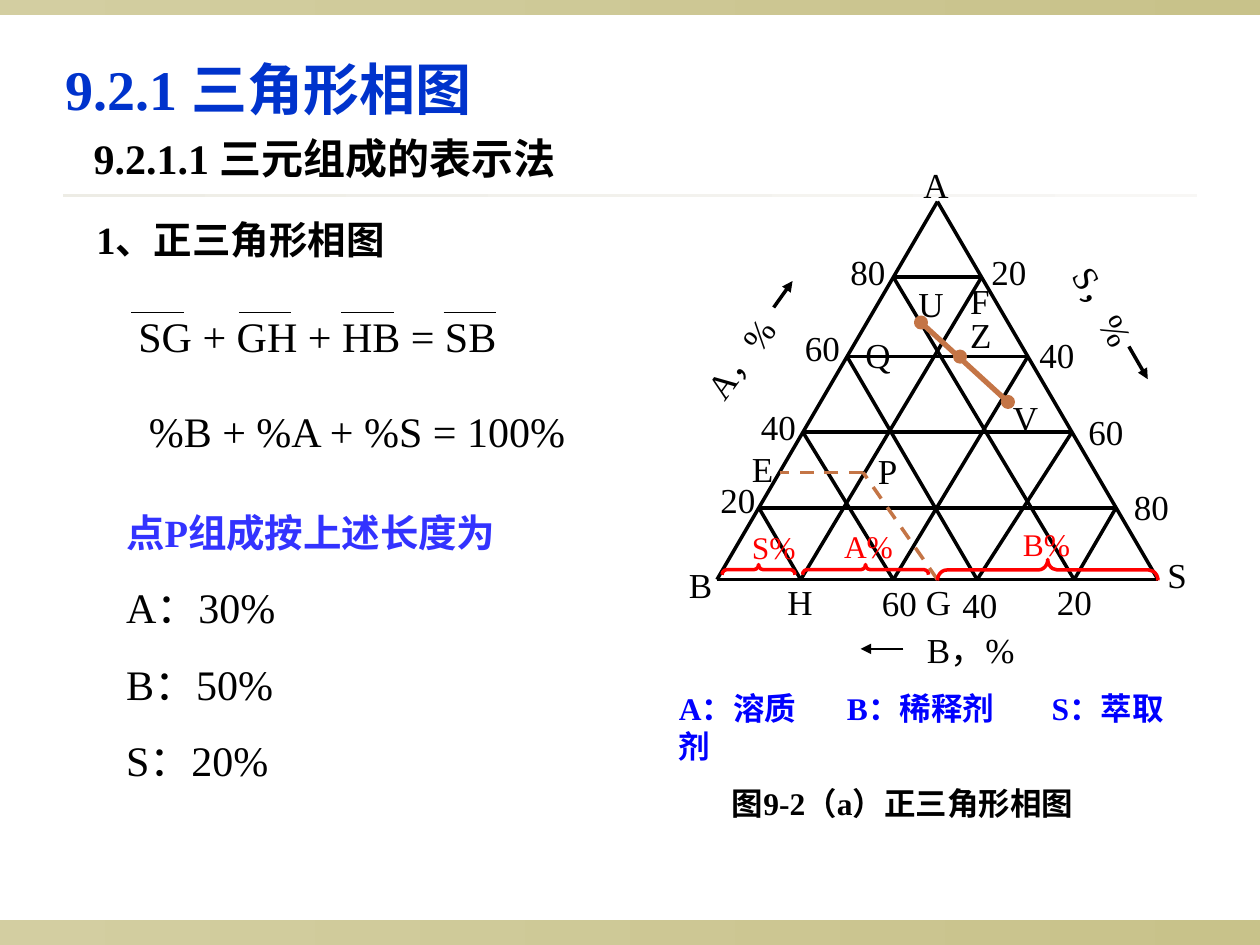
from dataclasses import dataclass

from pptx import Presentation
from pptx.dml.color import RGBColor as RGB
from pptx.enum.dml import MSO_LINE
from pptx.enum.shapes import MSO_CONNECTOR, MSO_SHAPE as SHAPE
from pptx.enum.text import MSO_ANCHOR, MSO_AUTO_SIZE, PP_ALIGN
from pptx.oxml.ns import qn
from pptx.util import Pt
from lxml.etree import SubElement


@dataclass(frozen=True)
class Theme:
    font: str = "Times New Roman"
    black: str = "000000"
    title: str = "0033CC"
    accent: str = "3333FF"
    key: str = "0000FF"
    red: str = "FF0000"
    copper: str = "C47546"
    band: tuple = ("D3CEA1", "C8C28A")
    rule: tuple = ("EDECE5", "F8F7F5")
    title_size: int = 32
    body_size: int = 24
    heading_size: int = 22
    label_size: int = 20
    small_size: int = 18


T = Theme()


def style(p, size, color=T.black, bold=False):
    p.alignment = PP_ALIGN.LEFT
    p.font.name, p.font.size, p.font.bold = T.font, Pt(size), bold
    p.font.color.rgb = RGB.from_string(color)


def add_text(shapes, box, text, size, color=T.black, bold=False, rotation=0, tabs=()):
    sp = shapes.add_textbox(*map(Pt, box))
    sp.rotation = rotation
    tf = sp.text_frame
    tf.word_wrap = True
    p = tf.paragraphs[0]
    p.text = text
    if tabs:
        tab_list = SubElement(p._p.get_or_add_pPr(), qn("a:tabLst"))
        for pos in tabs:
            SubElement(tab_list, qn("a:tab"), pos=str(Pt(pos)), algn="l")
    style(p, size, color, bold)
    return tf


def add_line(shapes, start, end, width=2, color=T.black, dash=False, arrow=False):
    c = shapes.add_connector(MSO_CONNECTOR.STRAIGHT, *map(Pt, (*start, *end)))
    c.line.width = Pt(width)
    c.line.color.rgb = RGB.from_string(color)
    if dash:
        c.line.dash_style = MSO_LINE.DASH
    if arrow:
        SubElement(c.line._get_or_add_ln(), qn("a:tailEnd"), type="triangle")
    SubElement(c._element.spPr, qn("a:effectLst"))


def add_gradient_bar(s, box, colors):
    sp = s.shapes.add_shape(SHAPE.RECTANGLE, *map(Pt, box))
    sp.shadow.inherit = False
    sp.line.fill.background()
    sp.fill.gradient()
    sp.fill.gradient_angle = 0
    for stop, color in zip(sp.fill.gradient_stops, colors):
        stop.color.rgb = RGB.from_string(color)


def add_brace(shapes, left, top, width, height):
    """Place an upward-pointing brace in the given box."""
    x, y = left + (width - height) / 2, top + (height - width) / 2
    sp = shapes.add_shape(SHAPE.LEFT_BRACE, *map(Pt, (x, y, height, width)))
    sp.rotation = 90
    sp.adjustments[0] = 0.45
    sp.shadow.inherit = False
    sp.fill.background()
    sp.line.width = Pt(2)
    sp.line.color.rgb = RGB.from_string(T.red)


def add_dot(shapes, center, size=6):
    x, y = center
    sp = shapes.add_shape(SHAPE.OVAL, Pt(x - size / 2), Pt(y - size / 2), Pt(size), Pt(size))
    sp.shadow.inherit = False
    sp.fill.solid()
    sp.fill.fore_color.rgb = sp.line.color.rgb = RGB.from_string(T.copper)
    sp.line.width = Pt(2)


def add_headings(s, left, top):
    title = s.shapes.title
    title.left, title.top, title.width, title.height = map(Pt, (left, top, 312, 55.5))
    tf = title.text_frame
    tf.text = "9.2.1 三角形相图"
    tf.vertical_anchor = MSO_ANCHOR.TOP
    tf.auto_size = MSO_AUTO_SIZE.NONE
    tf.paragraphs[0].line_spacing = 1.25
    style(tf.paragraphs[0], T.title_size, T.title, True)
    add_text(s.shapes, (left + 16.5, top + 54, 438, 36), "9.2.1.1 三元组成的表示法",
             T.body_size, bold=True)
    add_text(s.shapes, (left + 18, top + 102, 270, 34), "1、正三角形相图",
             T.heading_size, bold=True)


def add_formulas(s, left, top):
    shapes = s.shapes.add_group_shape().shapes
    add_text(shapes, (left, top, 240, 36), "SG + GH + HB = SB", T.body_size)
    for x in (3, 64.5, 123, 181.5):
        add_line(shapes, (left + x, top + 4.4), (left + x + 30, top + 4.4), 0.75)
    add_text(shapes, (left + 6, top + 54, 258, 36), "%B + %A + %S = 100%", T.body_size)


def add_composition(s, box):
    tf = add_text(s.shapes, box, "点P组成按上述长度为", T.heading_size, T.accent, True)
    for text in ("A：30%", "B：50%", "S：20%"):
        p = tf.add_paragraph()
        p.text = text
        p.space_before = Pt(15)
        style(p, T.body_size)


def add_grid(shapes, left, top, width, height):
    """Draw the triangle and its three families of inner lines."""
    def left_edge(h):
        return left + h * width / 2, top + (1 - h) * height

    def right_edge(h):
        return left + width - h * width / 2, top + (1 - h) * height

    def base(f):
        return left + f * width, top + height

    levels, feet = (0.19, 0.39, 0.59, 0.8), (0.19, 0.4, 0.59, 0.81)
    lines = [(base(0), base(1)), (base(0), left_edge(1)), (left_edge(1), base(1))]
    for h, foot, far_foot in zip(levels, feet, reversed(feet)):
        lines += [(left_edge(h), right_edge(h)), (base(foot), left_edge(h)),
                  (base(far_foot), right_edge(h))]
    for start, end in lines:
        add_line(shapes, start, end)


def add_diagram(s, left, top):
    shapes = s.shapes.add_group_shape().shapes

    def at(x, y):
        return left + x, top + y

    add_grid(shapes, *at(31.7, 25.2), 252, 216)

    u, z, v = at(148.3, 94.3), at(170.6, 113.8), at(198, 139.7)
    e, p, g = at(67.7, 180), at(115.2, 180), at(157.7, 241.2)
    add_line(shapes, u, v, 3, T.copper)
    for start, end in ((g, p), (p, e)):
        add_line(shapes, start, end, 2, T.copper, dash=True)

    labels = (
        ("A", 142.6, 0), ("B", 8.6, 228.2), ("S", 282, 222.5),
        ("20", 26.6, 180), ("40", 49.7, 138.2), ("60", 74.9, 92.9), ("80", 100.8, 49.7),
        ("20", 181.4, 49.7), ("40", 208.8, 97.2), ("60", 236.9, 141.1), ("80", 262.8, 183.6),
        ("20", 218.9, 238.3), ("40", 164.9, 239.8), ("60", 118.8, 239),
        ("H", 64.8, 238.3), ("G", 144, 238.3), ("E", 44.6, 162), ("P", 116.6, 163.4),
        ("U", 139.7, 67.7), ("Z", 169.2, 85.7), ("V", 193.7, 133.2),
        ("F", 169.2, 66.2), ("Q", 109.4, 97.2))
    for text, x, y in labels:
        add_text(shapes, (*at(x, y), 60, 31.5), text, T.label_size)

    axes = (
        ("B，%", 144.5, 265.7, 90, 0, (138.2, 280.8), (113.8, 280.8), 0.75),
        ("S，%", 208.1, 92.2, 114, 60.7, (267.1, 108), (277.9, 126.7), 2),
        ("A，%", 3.6, 82.1, 108, 306.3, (64.1, 85.7), (74.9, 70.6), 2))
    for text, x, y, width, rotation, tail, tip, weight in axes:
        add_text(shapes, (*at(x, y), width, 31.5), text, T.label_size, rotation=rotation)
        add_line(shapes, at(*tail), at(*tip), weight, arrow=True)

    segments = (
        ("S%", (44.6, 208.1), (34.6, 232.6), 41.7, 5.8),
        ("A%", (97.2, 207.4), (80.6, 232.6), 72, 5.8),
        ("B%", (199.4, 206.6), (157.7, 229.7), 126, 12))
    for text, label, brace, width, height in segments:
        add_brace(shapes, *at(*brace), width, height)
        add_text(shapes, (*at(*label), 48, 29), text, T.small_size, T.red)

    for point in (u, z, v):
        add_dot(shapes, point)

    add_text(shapes, (*at(2.9, 300.2), 300, 50.5), "A：溶质\tB：稀释剂\tS：萃取剂",
             T.small_size, T.key, True, tabs=(96, 213))
    add_text(shapes, (*at(33.1, 354.2), 264, 29), "图9-2（a）正三角形相图",
             T.small_size, bold=True)


def main():
    prs = Presentation()
    prs.slide_width, prs.slide_height = Pt(720), Pt(540)
    s = prs.slides.add_slide(prs.slide_layouts[5])
    add_gradient_bar(s, (0, 525.6, 720, 14.4), T.band)
    add_gradient_bar(s, (0, 0, 720, 8.6), T.band)
    add_gradient_bar(s, (36, 110.9, 648, 1.5), T.rule)
    add_headings(s, 30, 18)
    add_diagram(s, 378, 90)
    add_formulas(s, 72, 174)
    add_composition(s, (65, 287.3, 246, 165))
    prs.save("out.pptx")


if __name__ == "__main__":
    main()
